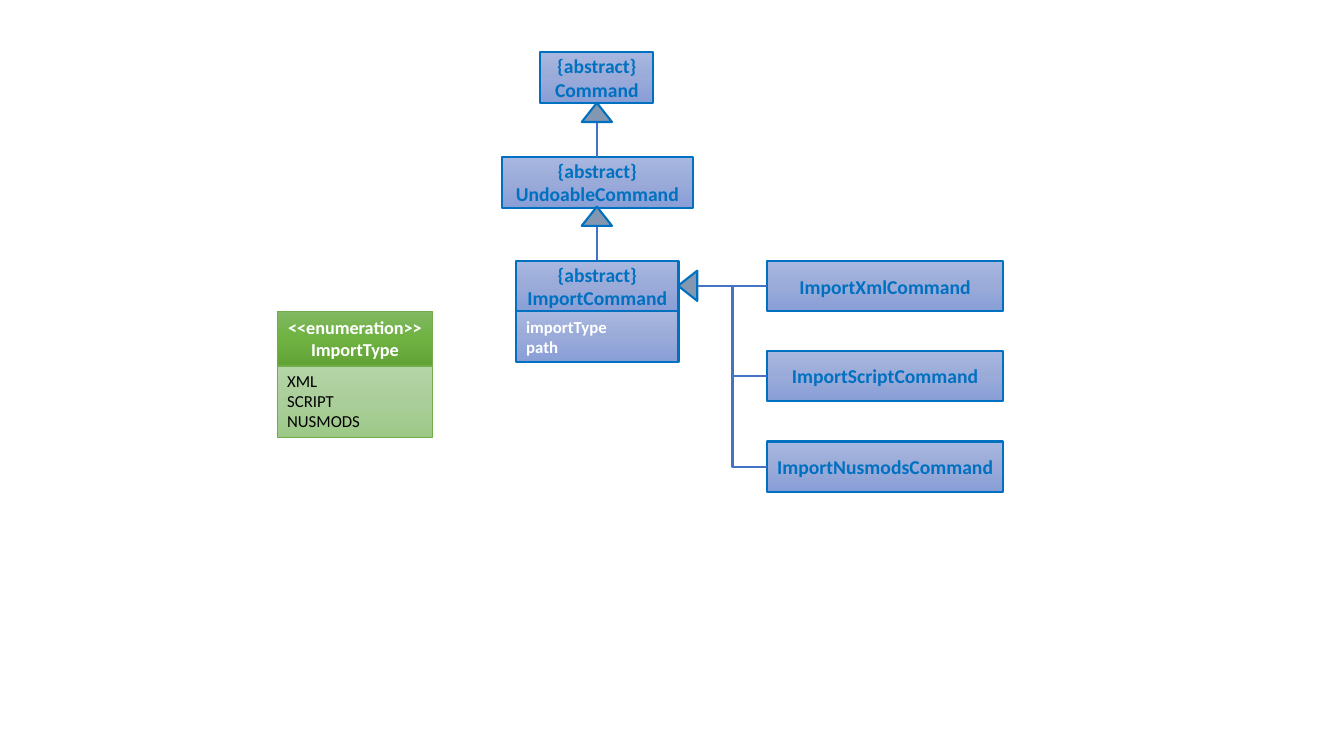
import copy

import lxml.etree
import pptx
import pptx.dml.color
import pptx.enum.shapes
import pptx.enum.text
import pptx.oxml.ns
import pptx.util

PX = 9144
SHAPE = pptx.enum.shapes.MSO_SHAPE
CONNECTOR = pptx.enum.shapes.MSO_CONNECTOR
ANCHOR = pptx.enum.text.MSO_ANCHOR
ALIGN = pptx.enum.text.PP_ALIGN
FIT = pptx.enum.text.MSO_AUTO_SIZE


def px(length):
    return pptx.util.Emu(length * PX)


def color(code):
    return pptx.dml.color.RGBColor.from_string(code)


class Diagram:
    font = "Calibri"
    blue = ("A8B7DF", "9AABD9", "889ED7")
    green = ("81B861", "6FB242", "62A336")
    pale_green = ("B5D5A7", "AACE9A", "9CC987")
    outline = "0070C0"
    link = "4472C4"
    arrow = "8497B0"

    def __init__(self, page):
        self.page = page

    def shape(self, kind, left, top, width, height, line, weight):
        shape = self.page.shapes.add_shape(kind, px(left), px(top), px(width), px(height))
        shape.shadow.inherit = False
        shape.line.color.rgb = color(line)
        shape.line.width = pptx.util.Pt(weight)
        return shape

    def gradient(self, shape, codes):
        shape.fill.gradient()
        shape.fill.gradient_angle = 270
        first = next(shape._element.spPr.iter(pptx.oxml.ns.qn("a:gs")))
        first.addnext(copy.deepcopy(first))
        for stop, position, code in zip(shape.fill.gradient_stops, (0, 0.5, 1), codes):
            stop.position = position
            stop.color.rgb = color(code)

    def box(self, left, top, width, height, lines, size=14, ink=outline, bold=True,
            centred=True, fill=blue, line=outline, weight=1.5, grow=False):
        box = self.shape(SHAPE.RECTANGLE, left, top, width, height, line, weight)
        self.gradient(box, fill)
        frame = box.text_frame
        frame.word_wrap = True
        frame.vertical_anchor = ANCHOR.TOP if grow else ANCHOR.MIDDLE
        frame.auto_size = FIT.SHAPE_TO_FIT_TEXT if grow else FIT.NONE
        if centred:
            frame.margin_left = frame.margin_right = 0
        for index, text in enumerate(lines):
            para = frame.add_paragraph() if index else frame.paragraphs[0]
            para.alignment = ALIGN.CENTER if centred else ALIGN.LEFT
            span = para.add_run()
            span.text = text
            span.font.name = self.font
            span.font.size = pptx.util.Pt(size)
            span.font.bold = bold
            span.font.color.rgb = color(ink)

    def connector(self, start, end, kind=CONNECTOR.STRAIGHT):
        connector = self.page.shapes.add_connector(kind, *map(px, start + end))
        connector.line.color.rgb = color(self.link)
        connector.line.width = pptx.util.Pt(1.5)
        lxml.etree.SubElement(connector._element.spPr, pptx.oxml.ns.qn("a:effectLst"))

    def triangle(self, left, top, rotation=0):
        triangle = self.shape(SHAPE.ISOSCELES_TRIANGLE, left, top, 30, 19, self.outline, 1.5)
        triangle.fill.solid()
        triangle.fill.fore_color.rgb = color(self.arrow)
        triangle.rotation = rotation


def main():
    deck = pptx.Presentation()
    deck.slide_width, deck.slide_height = px(1333), px(750)
    diagram = Diagram(deck.slides.add_slide(deck.slide_layouts[6]))

    diagram.box(275, 309, 154, 54, ["<<enumeration>>", "ImportType"], size=13,
                ink="FFFFFF", fill=diagram.green, line="70AD47", weight=0.5, grow=True)
    diagram.box(275, 363, 154, 71, ["XML", "SCRIPT", "NUSMODS"], size=12, ink="000000",
                bold=False, centred=False, fill=diagram.pale_green, line="70AD47",
                weight=0.5, grow=True)

    axis = 592
    parents = [("Command", 536, 52, 112), ("UndoableCommand", 498, 156, 189),
               ("ImportCommand", 512, 259, 161)]
    for name, left, top, width in parents:
        diagram.box(left, top, width, 50, ["{abstract}", name])
    for top, bottom in ((102, 156), (205, 258)):
        diagram.connector((axis, top), (axis, bottom))
        diagram.triangle(axis - 15, top)

    children = [("ImportXmlCommand", 259), ("ImportScriptCommand", 348),
                ("ImportNusmodsCommand", 438)]
    for name, top in children:
        diagram.box(761, top, 234, 50, [name])
    diagram.connector((761, 284), (673, 284))
    diagram.triangle(667, 274, 270)
    for name, top in children[1:]:
        diagram.connector((692, 284), (761, top + 25), CONNECTOR.ELBOW)

    diagram.box(512, 309, 161, 50, ["importType", "path"], size=12, ink="FFFFFF",
                centred=False)
    deck.save("out.pptx")


if __name__ == "__main__":
    main()
